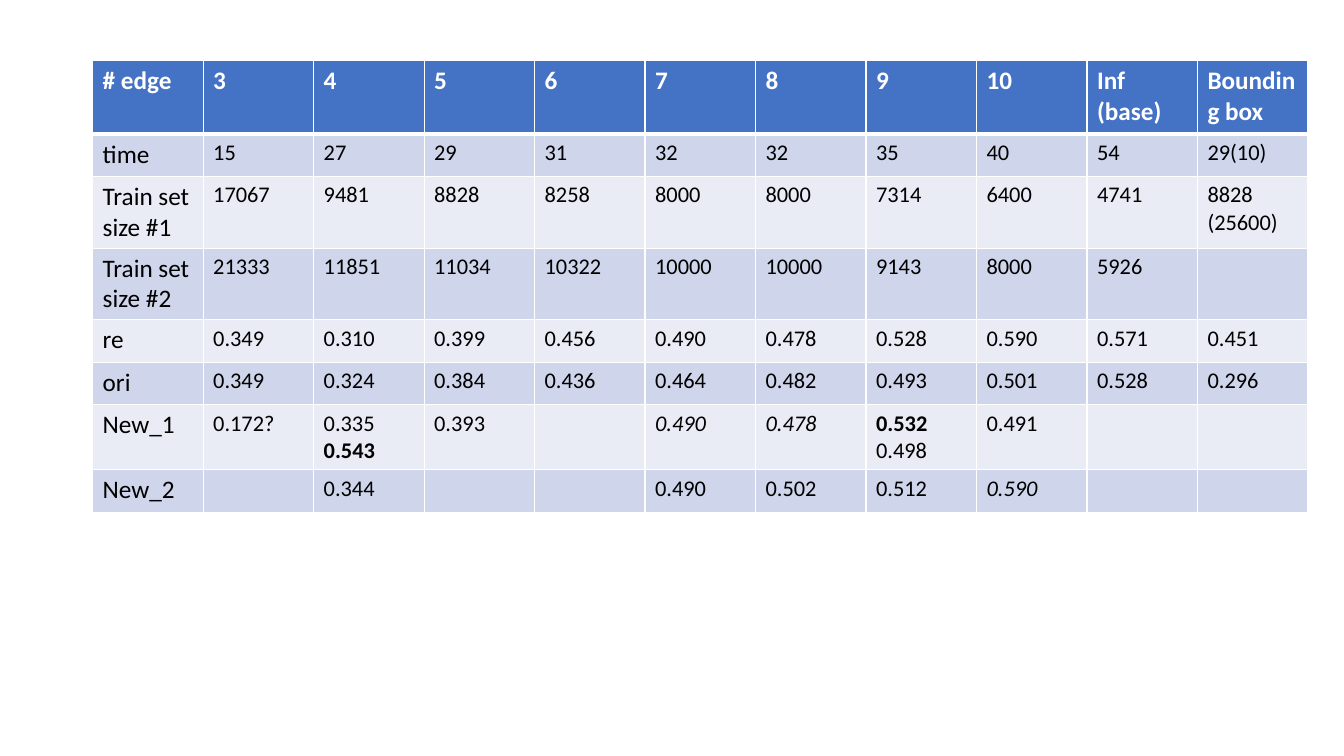
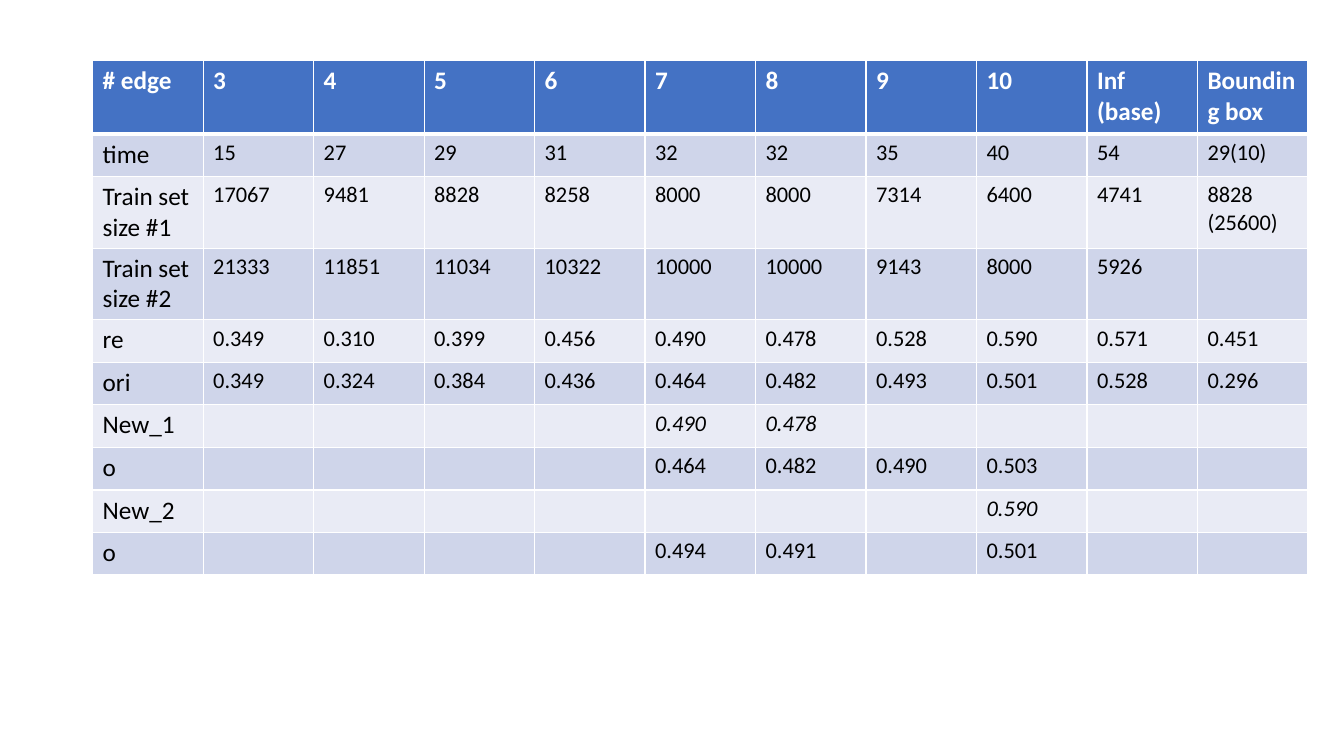
from lxml.etree import SubElement
from pptx import Presentation
from pptx.dml.color import RGBColor
from pptx.oxml.ns import qn
from pptx.util import Pt

COLORS = {
    "header": "4472C4",
    "band_dark": "CFD5EA",
    "band_light": "E9EBF5",
    "border": "FFFFFF",
    "header_text": "FFFFFF",
    "text": "000000",
}
FONT = "Calibri"
LABEL_SIZE, VALUE_SIZE = 18, 16
HEADER_HEIGHT, ROW_HEIGHT = 52.5, 30.4
TABLE_BOX = (66.2, 43.2, 868.3)
THIN, THICK = 1, 3


def plain(text):
    return [[(text, "")]]


def italic(text):
    return [[(text, "italic")]]


HEADER = ["# edge", "3", "4", "5", "6", "7", "8", "9", "10", "Inf (base)", "Bounding box"]
SHARED_ROWS = [
    ["time", "15", "27", "29", "31", "32", "32", "35", "40", "54", "29(10)"],
    ["Train set size #1", "17067", "9481", "8828", "8258", "8000", "8000", "7314", "6400", "4741",
     [[("8828", "")], [("(25600)", "")]]],
    ["Train set size #2", "21333", "11851", "11034", "10322", "10000", "10000", "9143", "8000", "5926", ""],
    ["re", "0.349", "0.310", "0.399", "0.456", "0.490", "0.478", "0.528", "0.590", "0.571", "0.451"],
    ["ori", "0.349", "0.324", "0.384", "0.436", "0.464", "0.482", "0.493", "0.501", "0.528", "0.296"],
]
FIRST_RESULTS = [
    ["New_1", "0.172?", [[("0.335", "")], [("0.543", "bold")]], "0.393", "",
     italic("0.490"), italic("0.478"), [[("0.532", "bold"), (" 0.498", "")]], "0.491", "", ""],
    ["New_2", "", "0.344", "", "", "0.490", "0.502", "0.512", italic("0.590"), "", ""],
]
SECOND_RESULTS = [
    ["New_1", "", "", "", "", italic("0.490"), italic("0.478"), "", "", "", ""],
    ["o", "", "", "", "", "0.464", "0.482", "0.490", "0.503", "", ""],
    ["New_2", "", "", "", "", "", "", "", italic("0.590"), "", ""],
    ["o", "", "", "", "", "0.494", "0.491", "", "0.501", "", ""],
]


def set_borders(cell, top, bottom):
    properties = cell._tc.get_or_add_tcPr()
    for tag, width in (("a:lnL", THIN), ("a:lnR", THIN), ("a:lnT", top), ("a:lnB", bottom)):
        line = SubElement(properties, qn(tag), w=str(Pt(width)))
        fill = SubElement(line, qn("a:solidFill"))
        SubElement(fill, qn("a:srgbClr"), val=COLORS["border"])


def write_cell(cell, content, size, color, bold):
    paragraphs = plain(content) if isinstance(content, str) else content
    frame = cell.text_frame
    for index, runs in enumerate(paragraphs):
        paragraph = frame.add_paragraph() if index else frame.paragraphs[0]
        paragraph.font.size = Pt(size)
        for text, style in runs:
            if not text:
                continue
            run = paragraph.add_run()
            run.text = text
            run.font.name = FONT
            run.font.size = Pt(size)
            run.font.bold = bold or style == "bold"
            run.font.italic = style == "italic"
            run.font.color.rgb = RGBColor.from_string(COLORS[color])


def add_results_table(slide, box, rows):
    left, top, width = box
    height = HEADER_HEIGHT + ROW_HEIGHT * (len(rows) - 1)
    table = slide.shapes.add_table(
        len(rows), len(HEADER), Pt(left), Pt(top), Pt(width), Pt(height)).table
    for column in table.columns:
        column.width = Pt(width / len(HEADER))
    for row_index, row in enumerate(rows):
        is_header = row_index == 0
        table.rows[row_index].height = Pt(HEADER_HEIGHT if is_header else ROW_HEIGHT)
        band = "header" if is_header else "band_dark" if row_index % 2 else "band_light"
        for column_index, content in enumerate(row):
            cell = table.cell(row_index, column_index)
            set_borders(cell, THICK if row_index == 1 else THIN, THICK if is_header else THIN)
            cell.fill.solid()
            cell.fill.fore_color.rgb = RGBColor.from_string(COLORS[band])
            size = LABEL_SIZE if is_header or column_index == 0 else VALUE_SIZE
            write_cell(cell, content, size, "header_text" if is_header else "text", is_header)


def main():
    presentation = Presentation()
    presentation.slide_width = Pt(960)
    presentation.slide_height = Pt(540)
    for results in (FIRST_RESULTS, SECOND_RESULTS):
        slide = presentation.slides.add_slide(presentation.slide_layouts[6])
        add_results_table(slide, TABLE_BOX, [HEADER, *SHARED_ROWS, *results])
    presentation.save("out.pptx")


if __name__ == "__main__":
    main()
